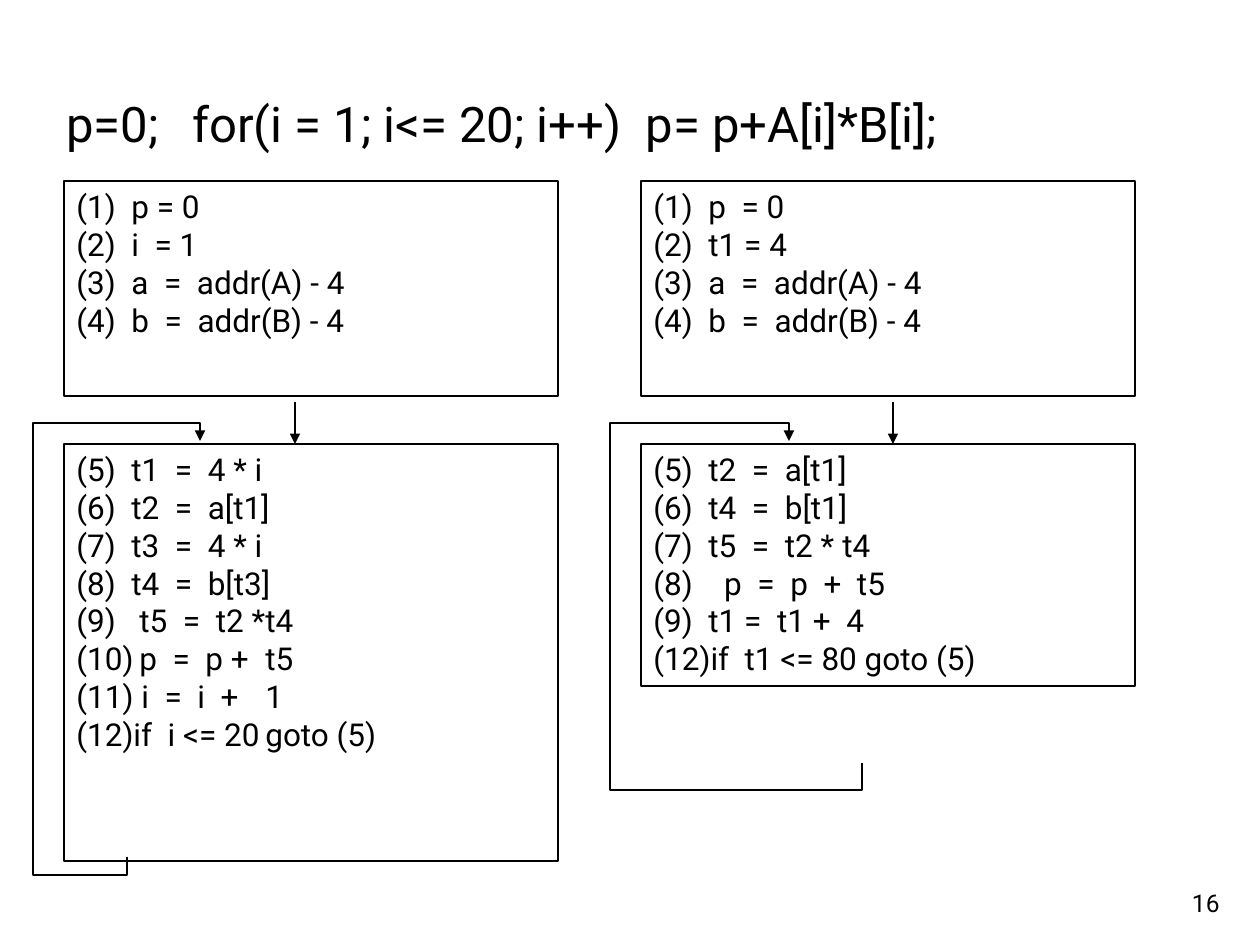
"""Build a slide comparing a loop's three-address code before and after optimisation."""
import pptx
import pptx.util
import pptx.dml.color
import pptx.enum.shapes
import pptx.enum.text
import pptx.oxml.ns
from lxml import etree

EMU_PER_PX = 914400 / 126
FONT = "Roboto"
INK = "000000"
BOX_WIDTH = 494
SETUP_TOP, SETUP_HEIGHT = 181, 215
LOOP_TOP = 444
ARROW_TOP = 402
RETURN_TOP = 423

SETUP_BEFORE = ["(1)  p = 0", "(2)  i  = 1", "(3)  a  =  addr(A) - 4", "(4)  b  =  addr(B) - 4"]
SETUP_AFTER = ["(1)  p  = 0", "(2)  t1 = 4"] + SETUP_BEFORE[2:]
LOOP_BEFORE = [
    "(5)  t1  =  4 * i",
    "(6)  t2  =  a[t1]",
    "(7)  t3  =  4 * i",
    "(8)  t4  =  b[t3]",
    (9, "t5  =  t2 *\tt4"),
    (9, "p  =  p +\tt5"),
    "(11) i  =  i  +\t1",
    "(12)if  i <= 20\tgoto (5)",
]
LOOP_AFTER = [
    "(5)  t2  =  a[t1]",
    "(6)  t4  =  b[t1]",
    "(7)  t5  =  t2 *\tt4",
    (8, " p  =  p  +  t5"),
    "(9)  t1 =  t1 +  4",
    "(12)if  t1 <= 80 goto (5)",
]


def px(length):
    """Turn pixels into EMU."""
    return pptx.util.Emu(round(length * EMU_PER_PX))


def color(value):
    """Turn a hex string into a colour."""
    return pptx.dml.color.RGBColor.from_string(value)


def add_child(parent, tag, **attributes):
    """Append a drawing element to a parent."""
    return etree.SubElement(parent, pptx.oxml.ns.qn(tag), attributes)


def style_line(stroke, arrow=False):
    """Draw a thin line, with an arrowhead at its end if asked."""
    stroke.color.rgb = color(INK)
    stroke.width = pptx.util.Pt(0.75)
    if arrow:
        add_child(stroke._get_or_add_ln(), "a:tailEnd", type="triangle")


def style_paragraph(paragraph, size, align=pptx.enum.text.PP_ALIGN.LEFT):
    """Set the font and alignment of a paragraph."""
    paragraph.alignment = align
    paragraph.font.name = FONT
    paragraph.font.size = pptx.util.Pt(size)
    paragraph.font.color.rgb = color(INK)


def add_label(slide, text, bounds, size, align, anchor):
    """Add a single line of plain text."""
    frame = slide.shapes.add_textbox(*map(px, bounds)).text_frame
    frame.word_wrap = True
    frame.vertical_anchor = anchor
    frame.paragraphs[0].text = text
    style_paragraph(frame.paragraphs[0], size, align)


def add_code_box(slide, statements, left, top, height, hanging=False):
    """Add an outlined block of statements, some numbered automatically."""
    block = slide.shapes.add_shape(
        pptx.enum.shapes.MSO_SHAPE.RECTANGLE, px(left), px(top), px(BOX_WIDTH), px(height))
    block.shadow.inherit = False
    block.fill.background()
    style_line(block.line)
    frame = block.text_frame
    frame.word_wrap = True
    frame.vertical_anchor = pptx.enum.text.MSO_ANCHOR.TOP
    for index, statement in enumerate(statements):
        start, text = statement if isinstance(statement, tuple) else (None, statement)
        paragraph = frame.add_paragraph() if index else frame.paragraphs[0]
        paragraph.text = text
        properties = paragraph._p.get_or_add_pPr()
        if hanging:
            properties.set("marL", str(px(63)))
            properties.set("indent", str(px(-63)))
        if start:
            add_child(properties, "a:buFont", typeface=FONT)
            add_child(properties, "a:buAutoNum", type="arabicParenBoth", startAt=str(start))
        style_paragraph(paragraph, 18)


def add_down_arrow(slide, x):
    """Add the arrow from the setup block to the loop block."""
    arrow = slide.shapes.add_connector(
        pptx.enum.shapes.MSO_CONNECTOR.STRAIGHT, px(x), px(ARROW_TOP), px(x), px(LOOP_TOP))
    style_line(arrow.line, arrow=True)
    add_child(arrow._element.spPr, "a:effectLst")


def add_return_path(slide, exit_x, exit_y, bottom, left, entry_x):
    """Add the bent arrow from the end of the loop back to its start."""
    builder = slide.shapes.build_freeform(exit_x, exit_y, EMU_PER_PX)
    corners = [(exit_x, bottom), (left, bottom), (left, RETURN_TOP),
               (entry_x, RETURN_TOP), (entry_x, LOOP_TOP - 3)]
    builder.add_line_segments(corners, close=False)
    route = builder.convert_to_shape()
    route.shadow.inherit = False
    route.fill.background()
    style_line(route.line, arrow=True)


def add_flow(slide, left, setup, loop, loop_height, arrow_x, return_path):
    """Add one version of the program with its control flow."""
    add_code_box(slide, setup, left, SETUP_TOP, SETUP_HEIGHT)
    add_code_box(slide, loop, left, LOOP_TOP, loop_height, hanging=True)
    add_down_arrow(slide, arrow_x)
    add_return_path(slide, *return_path)


def main():
    """Build and save the slide."""
    deck = pptx.Presentation()
    deck.slide_width, deck.slide_height = px(1260), px(945)
    slide = deck.slides.add_slide(deck.slide_layouts[6])
    align, anchor = pptx.enum.text.PP_ALIGN, pptx.enum.text.MSO_ANCHOR
    add_flow(slide, 64, SETUP_BEFORE, LOOP_BEFORE, 417, 295, (127, 857, 875, 33, 200))
    add_flow(slide, 641, SETUP_AFTER, LOOP_AFTER, 242, 893, (862, 763, 790, 610, 789))
    add_label(slide, "p=0;\tfor(i = 1; i<= 20; i++)  p= p+A[i]*B[i];",
              (54, 87, 1124, 72), 28, align.LEFT, anchor.TOP)
    add_label(slide, "16", (970, 861, 262, 63), 14, align.RIGHT, anchor.BOTTOM)
    deck.save("out.pptx")


if __name__ == "__main__":
    main()
